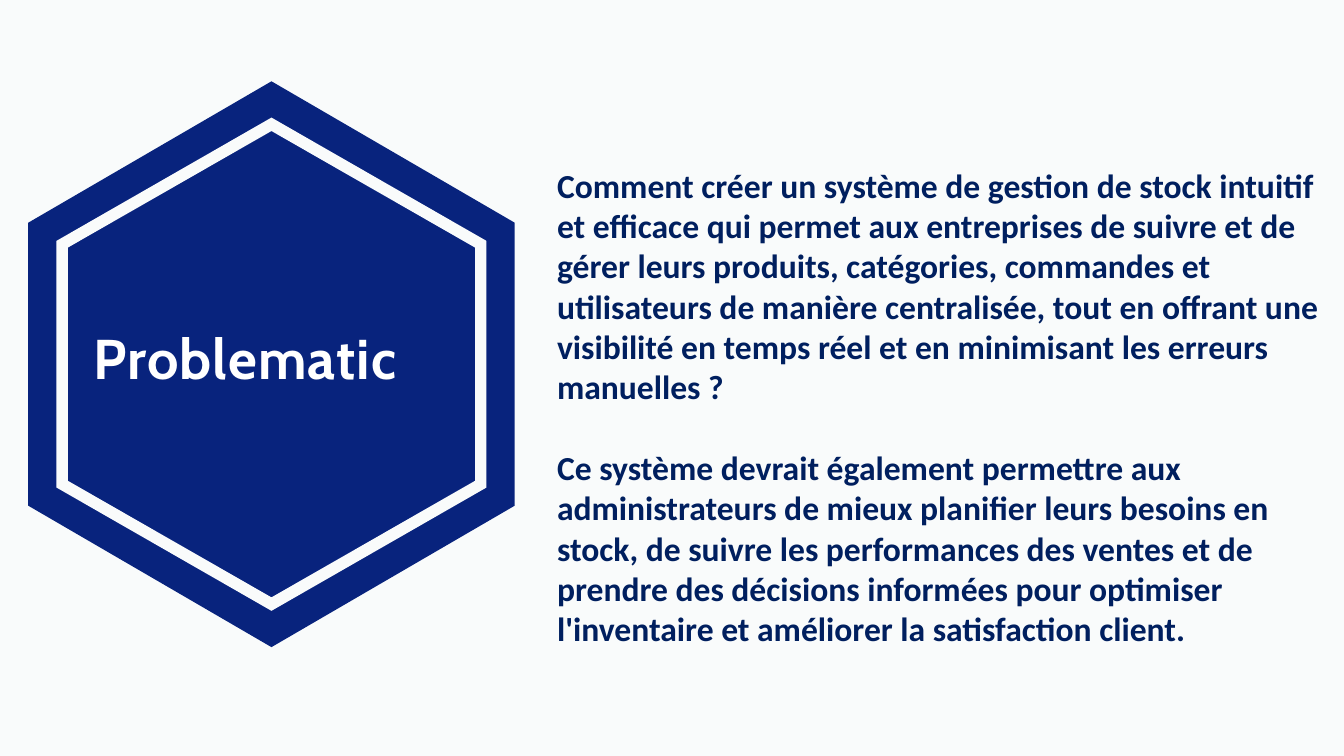
"""Build the problem-statement slide with a hexagon title badge."""
import pptx
import pptx.dml.color
import pptx.enum.text
import pptx.util

Inches = pptx.util.Inches
Pt = pptx.util.Pt

THEME = {
    "paper": "F9FBFB", "badge": "08237D", "title": "FFFFFF", "body": "001F5F",
    "title_font": "Cabin", "body_font": "Calibri", "title_size": 60, "body_size": 36,
}

HEADING = ("Problematic", (1.39, 4.79, 5.27, 1.03))
QUESTIONS = [
    ("Comment créer un système de gestion de stock intuitif et efficace qui permet "
     "aux entreprises de suivre et de gérer leurs produits, catégories, commandes et "
     "utilisateurs de manière centralisée, tout en offrant une visibilité en temps réel "
     "et en minimisant les erreurs manuelles ?", (8.29, 2.44, 11.4, 3.63)),
    ("Ce système devrait également permettre aux administrateurs de mieux planifier "
     "leurs besoins en stock, de suivre les performances des ventes et de prendre des "
     "décisions informées pour optimiser l'inventaire et améliorer la satisfaction client.",
     (8.29, 6.64, 10.7, 3.03)),
]

BADGE_CENTER = (4.04, 5.42)
BADGE_SIZE = (3.62, 4.21)
RING_SIZES = [(3.2, 3.67), (3.03, 3.47)]


def color(role):
    return pptx.dml.color.RGBColor.from_string(THEME[role])


def hexagon(half_width, half_height):
    x, y = BADGE_CENTER
    shoulder = half_height / 2
    corners = [(x, y - half_height), (x - half_width, y - shoulder),
               (x - half_width, y + shoulder), (x, y + half_height),
               (x + half_width, y + shoulder), (x + half_width, y - shoulder)]
    return [(Inches(left), Inches(top)) for left, top in corners]


def draw_outlines(slide, outlines, role):
    first, *holes = outlines
    builder = slide.shapes.build_freeform(*first[0], scale=1.0)
    builder.add_line_segments(first[1:], close=True)
    for hole in holes:
        builder.move_to(*hole[0])
        builder.add_line_segments(hole[:0:-1], close=True)
    shape = builder.convert_to_shape()
    shape.fill.solid()
    shape.fill.fore_color.rgb = color(role)
    shape.line.fill.background()
    shape.shadow.inherit = False


def write_text(shape, text, box, role, space_before, inset):
    shape.left, shape.top, shape.width, shape.height = map(Inches, box)
    frame = shape.text_frame
    frame.word_wrap = True
    frame.auto_size = pptx.enum.text.MSO_AUTO_SIZE.NONE
    frame.vertical_anchor = pptx.enum.text.MSO_ANCHOR.TOP
    frame.margin_left = frame.margin_right = frame.margin_bottom = 0
    frame.margin_top = Inches(inset)
    paragraph = frame.paragraphs[0]
    paragraph.alignment = pptx.enum.text.PP_ALIGN.LEFT
    paragraph.line_spacing = 1.0
    paragraph.space_before = Pt(space_before)
    run = paragraph.add_run()
    run.text = text
    run.font.name = THEME[f"{role}_font"]
    run.font.size = Pt(THEME[f"{role}_size"])
    run.font.bold = True
    run.font.color.rgb = color(role)
    return run


def main():
    deck = pptx.Presentation()
    deck.slide_width, deck.slide_height = Inches(20), Inches(11.25)
    slide = deck.slides.add_slide(deck.slide_layouts[5])
    slide.background.fill.solid()
    slide.background.fill.fore_color.rgb = color("paper")

    draw_outlines(slide, [hexagon(*BADGE_SIZE)], "badge")
    draw_outlines(slide, [hexagon(*size) for size in RING_SIZES], "paper")

    title = slide.shapes.title
    slide.shapes._spTree.append(title._element)
    heading = write_text(title, *HEADING, "title", 1.2, 0.02)
    heading.font._element.set("spc", "120")
    for question, box in QUESTIONS:
        textbox = slide.shapes.add_textbox(*map(Inches, box))
        write_text(textbox, question, box, "body", 1, 0.01)

    deck.save("out.pptx")


if __name__ == "__main__":
    main()
